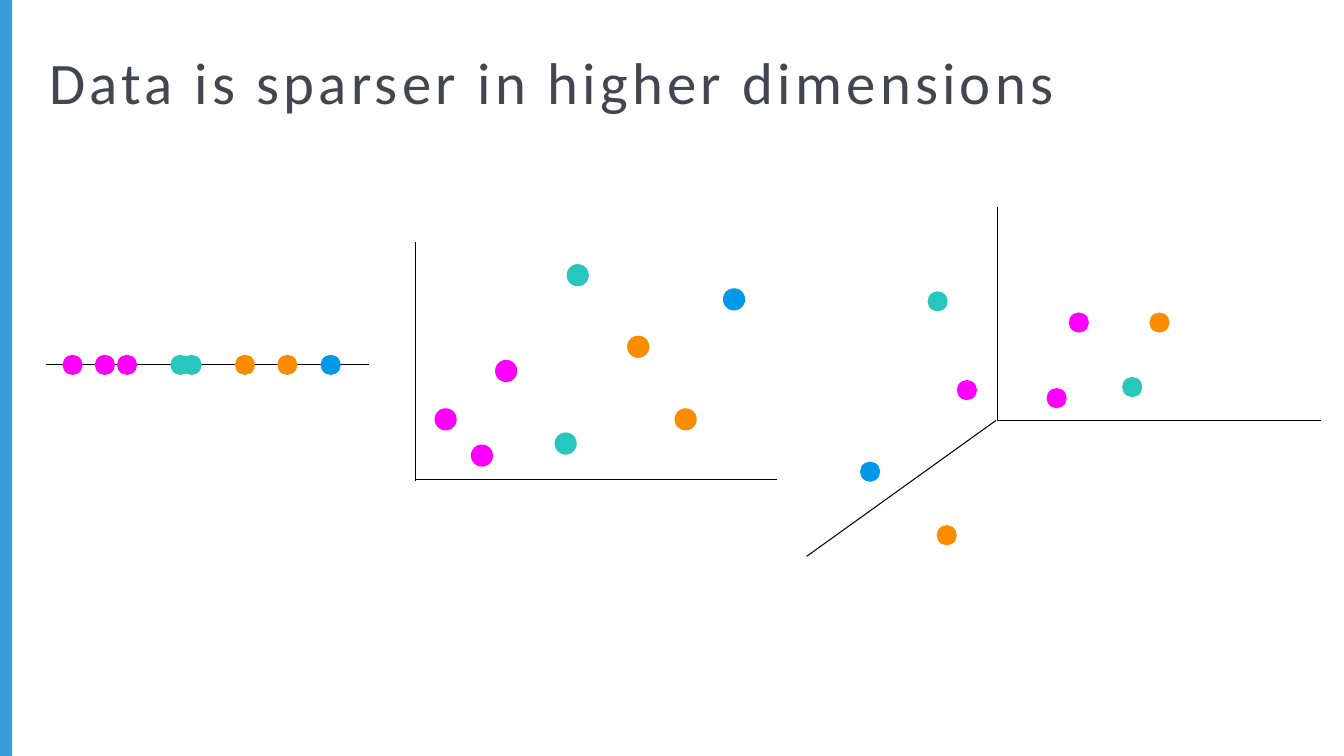
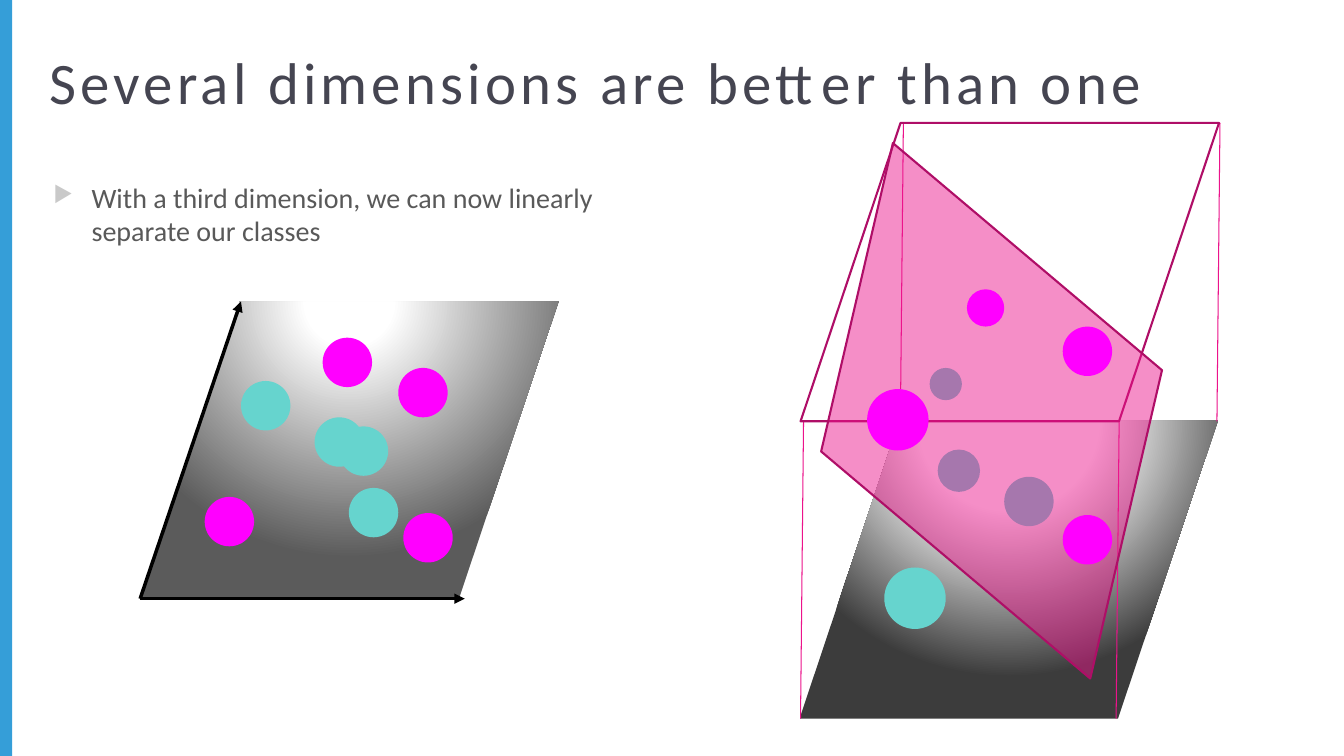
from dataclasses import dataclass
from typing import NamedTuple, Optional

from lxml import etree
from pptx import Presentation
from pptx import oxml
from pptx import slide as sl
from pptx import util as u
from pptx.dml import color
from pptx.enum import shapes, text
from pptx.oxml import ns
from pptx.shapes import autoshape, connector, shapetree


@dataclass(frozen=True)
class Theme:
    font: str = "Calibri"
    title_size: float = 42
    title_spacing: int = 300
    body_size: float = 20
    bar: str = "359ED8"
    title: str = "454551"
    body: str = "595959"
    bullet: str = "C9C9C9"
    axis: str = "000000"
    magenta: str = "FF00FF"
    teal: str = "27C7BD"
    orange: str = "FB8C00"
    blue: str = "0099E8"
    light_teal: str = "66D4CE"
    plane: str = "EC138B"
    plane_edge: str = "AF0E67"
    white: str = "FFFFFF"
    near_shade: str = "5B5B5B"
    deep_shade: str = "3C3C3C"


THEME = Theme()
SLIDE_WIDTH, SLIDE_HEIGHT = 13.33, 7.5
FLOOR_WIDTH, FLOOR_HEIGHT, FLOOR_SLANT = 4.15, 2.96, 0.335
SAMPLE_COLORS = [THEME.magenta] * 3 + [THEME.teal] * 2 + [THEME.orange] * 2 + [THEME.blue]


class Point(NamedTuple):
    x: float
    y: float


class Frame(NamedTuple):
    left: float
    top: float
    width: float
    height: float


class Axis(NamedTuple):
    start: Point
    end: Point


class Plot(NamedTuple):
    axes: list[Axis]
    dot_size: float
    dots: list[Point]


class Dot(NamedTuple):
    left: float
    top: float
    size: float
    fill: str


PLOTS = [
    Plot(
        [Axis(Point(0.46, 3.62), Point(3.66, 3.62))],
        0.2,
        [Point(x, 3.52) for x in (0.62, 0.94, 1.16, 1.69, 1.8, 2.33, 2.75, 3.18)],
    ),
    Plot(
        [Axis(Point(4.13, 4.76), Point(7.71, 4.76)), Axis(Point(4.12, 4.77), Point(4.12, 2.4))],
        0.22,
        [Point(4.31, 4.05), Point(4.67, 4.41), Point(4.91, 3.57), Point(5.5, 4.29),
         Point(5.62, 2.62), Point(6.22, 3.33), Point(6.69, 4.05), Point(7.17, 2.86)],
    ),
    Plot(
        [Axis(Point(9.9, 4.17), Point(13.1, 4.17)), Axis(Point(9.89, 4.18), Point(9.89, 2.05)),
         Axis(Point(8, 5.52), Point(9.88, 4.17))],
        0.2,
        [Point(9.49, 3.77), Point(10.38, 3.85), Point(10.6, 3.1), Point(11.13, 3.74),
         Point(9.2, 2.89), Point(11.4, 3.1), Point(9.29, 5.21), Point(8.53, 4.58)],
    ),
]

DOTS_BEHIND_PLANE = [
    Dot(9.22, 3.65, 0.32, THEME.light_teal),
    Dot(9.3, 4.46, 0.42, THEME.light_teal),
    Dot(9.96, 4.73, 0.49, THEME.light_teal),
    Dot(8.77, 5.63, 0.61, THEME.light_teal),
]
DOTS_BEFORE_PLANE = [
    Dot(9.59, 2.87, 0.37, THEME.magenta),
    Dot(8.6, 3.86, 0.61, THEME.magenta),
    Dot(10.54, 3.24, 0.49, THEME.magenta),
    Dot(10.54, 5.11, 0.49, THEME.magenta),
]
FLAT_DOTS = [
    Dot(2.39, 3.78, 0.49, THEME.light_teal),
    Dot(3.2, 3.35, 0.49, THEME.magenta),
    Dot(2.03, 4.93, 0.49, THEME.magenta),
    Dot(3.12, 4.14, 0.49, THEME.light_teal),
    Dot(3.36, 4.23, 0.49, THEME.light_teal),
    Dot(3.95, 3.65, 0.49, THEME.magenta),
    Dot(3.46, 4.84, 0.49, THEME.light_teal),
    Dot(4, 5.09, 0.49, THEME.magenta),
]


def rgb(value: str) -> color.RGBColor:
    return color.RGBColor.from_string(value)


def add_shape(
    tree: shapetree.GroupShapes,
    kind: shapes.MSO_SHAPE,
    frame: Frame,
    fill: Optional[str] = None,
    line: Optional[str] = None,
) -> autoshape.Shape:
    shape = tree.add_shape(kind, *(u.Inches(length) for length in frame))
    shape.shadow.inherit = False
    if fill:
        shape.fill.solid()
        shape.fill.fore_color.rgb = rgb(fill)
    else:
        shape.fill.background()
    if line:
        shape.line.color.rgb = rgb(line)
        shape.line.width = u.Pt(1.5)
    else:
        shape.line.fill.background()
    return shape


def add_line(
    tree: shapetree.GroupShapes, axis: Axis, line: str, width: float = 0.75, arrow: bool = False
) -> connector.Connector:
    link = tree.add_connector(
        shapes.MSO_CONNECTOR.STRAIGHT,
        *(u.Inches(length) for point in axis for length in point),
    )
    link.line.color.rgb = rgb(line)
    link.line.width = u.Pt(width)
    properties = link._element.spPr
    if arrow:
        etree.SubElement(properties.find(ns.qn("a:ln")), ns.qn("a:tailEnd"), type="triangle")
    etree.SubElement(properties, ns.qn("a:effectLst"))
    return link


def add_dots(tree: shapetree.GroupShapes, dots: list[Dot]) -> None:
    for dot in dots:
        add_shape(tree, shapes.MSO_SHAPE.OVAL, Frame(dot.left, dot.top, dot.size, dot.size), dot.fill)


def add_parallelogram(
    tree: shapetree.GroupShapes,
    frame: Frame,
    slant: float = FLOOR_SLANT,
    fill: Optional[str] = None,
    line: Optional[str] = None,
) -> autoshape.Shape:
    shape = add_shape(tree, shapes.MSO_SHAPE.PARALLELOGRAM, frame, fill, line)
    shape.adjustments[0] = slant
    return shape


def add_floor(tree: shapetree.GroupShapes, corner: Point, white_until: int, shade: str) -> None:
    """Draw a slanted floor, lit from above its top edge."""
    floor = add_parallelogram(tree, Frame(*corner, FLOOR_WIDTH, FLOOR_HEIGHT))
    stops = "".join(
        f'<a:gs pos="{percent * 1000}"><a:srgbClr val="{value}"/></a:gs>'
        for percent, value in ((0, THEME.white), (white_until, THEME.white), (100, shade))
    )
    gradient = oxml.parse_xml(
        f'<a:gradFill {ns.nsdecls("a")} rotWithShape="1"><a:gsLst>{stops}</a:gsLst>'
        '<a:path path="circle"><a:fillToRect l="50000" t="-80000" r="50000" b="180000"/>'
        "</a:path></a:gradFill>"
    )
    properties = floor._element.spPr
    properties.replace(properties.find(ns.qn("a:noFill")), gradient)


def add_text(
    page: sl.Slide, frame: Frame, words: str, size: float, ink: str, inset: Point
) -> autoshape.Shape:
    box = page.shapes.add_textbox(*(u.Inches(length) for length in frame))
    body = box.text_frame
    body.word_wrap = True
    body.vertical_anchor = text.MSO_ANCHOR.TOP
    body.margin_left = body.margin_right = u.Inches(inset.x)
    body.margin_top = body.margin_bottom = u.Inches(inset.y)
    para = body.paragraphs[0]
    para.text = words
    return style_paragraph(box, size, ink)


def style_paragraph(box: autoshape.Shape, size: float, ink: str) -> autoshape.Shape:
    font = box.text_frame.paragraphs[0].font
    font.name = THEME.font
    font.size = u.Pt(size)
    font.color.rgb = rgb(ink)
    return box


def add_bullet(box: autoshape.Shape, indent: float) -> None:
    properties = box.text_frame.paragraphs[0]._p.get_or_add_pPr()
    properties.set("marL", str(u.Inches(indent)))
    properties.set("indent", str(-u.Inches(indent)))
    bullet = oxml.parse_xml(
        f'<a:pPr {ns.nsdecls("a")}><a:buClr><a:srgbClr val="{THEME.bullet}"/></a:buClr>'
        '<a:buSzPct val="80000"/><a:buChar char="▶"/></a:pPr>'
    )
    for position, part in enumerate(list(bullet)):
        properties.insert(position, part)


def add_page(deck: Presentation, title: str) -> sl.Slide:
    """Add a slide with the side bar and the title."""
    page = deck.slides.add_slide(deck.slide_layouts[6])
    add_shape(page.shapes, shapes.MSO_SHAPE.RECTANGLE, Frame(0, 0, 0.12, SLIDE_HEIGHT), THEME.bar)
    box = add_text(
        page, Frame(0.43, 0.37, 11.56, 1.08), title, THEME.title_size, THEME.title, Point(0.06, 0.08)
    )
    span = box.text_frame.paragraphs[0].runs[0]
    span._r.get_or_add_rPr().set("spc", str(THEME.title_spacing))
    return page


def add_plot(page: sl.Slide, plot: Plot) -> None:
    tree = page.shapes.add_group_shape().shapes
    for axis in plot.axes:
        add_line(tree, axis, THEME.axis)
    add_dots(tree, [Dot(*dot, plot.dot_size, fill) for dot, fill in zip(plot.dots, SAMPLE_COLORS)])


def add_cube(page: sl.Slide) -> None:
    """Draw the box whose dots are parted by a translucent plane."""
    tree = page.shapes.add_group_shape().shapes
    add_floor(tree, Point(7.93, 4.17), 35, THEME.deep_shade)
    for x, y in ((12.1, 1.22), (11.1, 4.17), (8.96, 1.22), (7.97, 4.17)):
        edge = Axis(Point(x, y), Point(x - 0.03, y + FLOOR_HEIGHT))
        add_line(tree, edge, THEME.plane)
    add_dots(tree, DOTS_BEHIND_PLANE)
    add_parallelogram(
        tree, Frame(7.94, 1.22, FLOOR_WIDTH, FLOOR_HEIGHT), line=THEME.plane_edge
    )
    plane = add_parallelogram(
        tree, Frame(7.47, 2.52, 4.73, 3.11), 0.511, THEME.plane, THEME.plane_edge
    )
    plane.rotation = 283.1
    tint = plane._element.spPr.find(ns.qn("a:solidFill"))[0]
    etree.SubElement(tint, ns.qn("a:alpha"), val="48000")
    add_dots(tree, DOTS_BEFORE_PLANE)


def add_flat_view(page: sl.Slide) -> None:
    add_floor(page.shapes, Point(1.39, 2.99), 17, THEME.near_shade)
    add_dots(page.shapes, FLAT_DOTS)
    for tip in (Point(2.39, 2.99), Point(4.61, 5.94)):
        add_line(page.shapes, Axis(Point(1.39, 5.94), tip), THEME.axis, 2.5, arrow=True)


def main() -> None:
    deck = Presentation()
    deck.slide_width, deck.slide_height = u.Inches(SLIDE_WIDTH), u.Inches(SLIDE_HEIGHT)

    sparse_page = add_page(deck, "Data is sparser in higher dimensions")
    for plot in PLOTS:
        add_plot(sparse_page, plot)

    separable_page = add_page(deck, "Several dimensions are better than one")
    box = add_text(
        separable_page,
        Frame(0.43, 1.74, 6.08, 0.76),
        "With a third dimension, we can now linearly separate our classes",
        THEME.body_size,
        THEME.body,
        Point(0.1, 0.05),
    )
    add_bullet(box, 0.38)
    add_cube(separable_page)
    add_flat_view(separable_page)

    deck.save("out.pptx")


if __name__ == "__main__":
    main()
